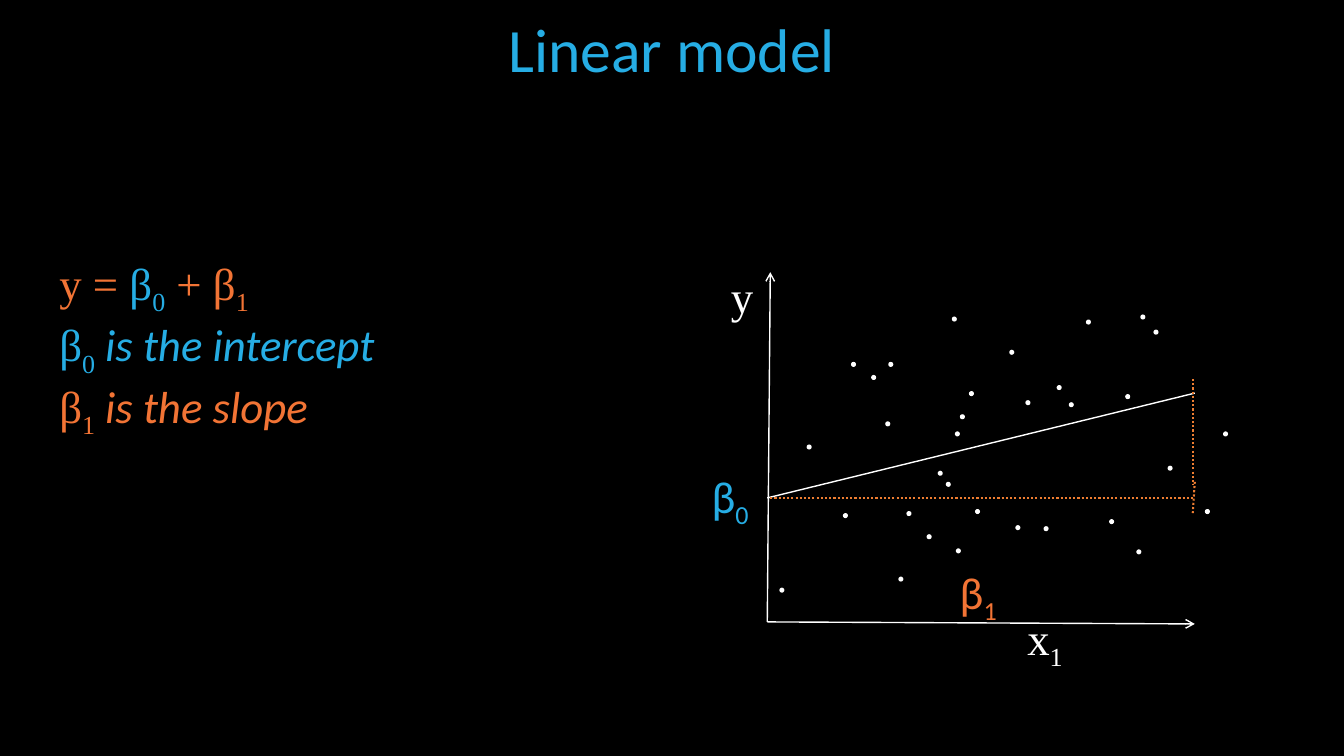
from lxml.etree import SubElement
from pptx import Presentation
from pptx.dml.color import RGBColor
from pptx.enum.dml import MSO_LINE
from pptx.enum.shapes import MSO_CONNECTOR, MSO_SHAPE
from pptx.enum.text import MSO_ANCHOR, MSO_AUTO_SIZE, PP_ALIGN
from pptx.oxml.ns import qn
from pptx.util import Inches, Pt

BLUE, ORANGE, WHITE, DOTTED_ORANGE = "26ADE4", "F27435", "FFFFFF", "ED7D31"
SERIF, SANS = "Times New Roman", "Calibri"
SUBSCRIPT = "-25000"


def paint(color_format, hex_color):
    color_format.rgb = RGBColor.from_string(hex_color)


def add_run(paragraph, text, font_name, color, size=32):
    """Add one run; a leading underscore marks a subscript."""
    run = paragraph.add_run()
    run.text = text.lstrip("_")
    run.font.name = font_name
    run.font.size = Pt(size)
    paint(run.font.color, color)
    if text.startswith("_"):
        run._r.get_or_add_rPr().set("baseline", SUBSCRIPT)
    return run


deck = Presentation()
deck.slide_width, deck.slide_height = Inches(13.33), Inches(7.5)
slide = deck.slides.add_slide(deck.slide_layouts[5])
slide.background.fill.solid()
paint(slide.background.fill.fore_color, "000000")

# Title
title = slide.shapes.title
title.left, title.top = 0, Inches(0.06)
title.width, title.height = deck.slide_width, Inches(0.84)
title.text_frame.vertical_anchor = MSO_ANCHOR.TOP
title.text_frame.auto_size = MSO_AUTO_SIZE.NONE
heading = title.text_frame.paragraphs[0]
heading.alignment = PP_ALIGN.CENTER
add_run(heading, "Linear model", SANS, BLUE, size=44)

# Equation and the meaning of its terms
equation = slide.shapes.add_textbox(Inches(0.49), Inches(2.49), Inches(4.5), Inches(1.48)).text_frame
equation.word_wrap = True
formula = equation.paragraphs[0]
for text, color in [("y = ", ORANGE), ("β", BLUE), ("_0", BLUE), (" + β", ORANGE), ("_1", ORANGE)]:
    add_run(formula, text, SERIF, color)
for index, meaning, color in [("_0", " is the intercept", BLUE), ("_1", " is the slope", ORANGE)]:
    term = equation.add_paragraph()
    add_run(term, "β", SERIF, color)
    add_run(term, index, SERIF, color)
    add_run(term, meaning, SANS, color).font.italic = True

# Axes, fitted line and slope triangle
origin_x, origin_y = 7.61, 6.17
intercept_y = 4.94
end_x, rise_x = 11.85, 11.83
plot_lines = [
    # start, end, colour, width, arrow, dotted
    ((origin_x, origin_y), (7.64, 2.7), WHITE, 1, True, False),
    ((origin_x, intercept_y), (end_x, 3.9), WHITE, 1, False, False),
    ((origin_x, origin_y), (end_x, 6.19), WHITE, 1, True, False),
    ((7.64, intercept_y), (rise_x, intercept_y), DOTTED_ORANGE, 1.5, False, True),
    ((rise_x, 3.76), (rise_x, 4.81), DOTTED_ORANGE, 1.5, False, True),
    ((end_x, 4.78), (rise_x, 5.09), DOTTED_ORANGE, 1.5, False, True),
]
for start, end, color, width, arrow, dotted in plot_lines:
    segment = slide.shapes.add_connector(
        MSO_CONNECTOR.STRAIGHT, *[Inches(length) for length in start + end])
    paint(segment.line.color, color)
    segment.line.width = Pt(width)
    if dotted:
        segment.line.dash_style = MSO_LINE.ROUND_DOT
    if arrow:
        SubElement(segment.line._get_or_add_ln(), qn("a:tailEnd"), type="arrow")
    SubElement(segment._element.spPr, qn("a:effectLst"))

# Axis and coefficient labels
for left, top, width, parts, font_name, color in [
    (7.15, 2.62, 0.43, ["y"], SERIF, WHITE),
    (6.96, 4.6, 0.59, ["β", "_0"], SANS, BLUE),
    (9.42, 5.55, 0.59, ["β", "_1"], SANS, ORANGE),
    (10.09, 6.01, 0.59, ["x", "_1"], SERIF, WHITE),
]:
    label = slide.shapes.add_textbox(Inches(left), Inches(top), Inches(width), Inches(0.64)).text_frame
    label.word_wrap = False
    label.auto_size = MSO_AUTO_SIZE.SHAPE_TO_FIT_TEXT
    for part in parts:
        add_run(label.paragraphs[0], part, font_name, color)

# Observations
observations = [
    (8.44, 3.59), (9.19, 5.3), (10.48, 3.82), (10.6, 3.99), (10.07, 5.21), (9.38, 4.78),
    (8.36, 5.09), (9.52, 4.11), (8, 4.41), (7.73, 5.83), (10.01, 3.47), (8.91, 5.72),
    (9.3, 4.67), (9.47, 4.28), (10.35, 5.22), (8.64, 3.72), (8.81, 3.59), (10.17, 3.97),
    (8.99, 5.07), (9.61, 3.88), (9.44, 3.14), (8.78, 4.18), (9.67, 5.05), (9.48, 5.44),
    (11.16, 3.91), (10.77, 3.17), (11, 5.15), (11.27, 5.45), (11.31, 3.12), (11.44, 3.27),
    (11.58, 4.62), (11.95, 5.05), (12.13, 4.28),
]
dot_size = Inches(0.05)
for left, top in observations:
    dot = slide.shapes.add_shape(MSO_SHAPE.OVAL, Inches(left), Inches(top), dot_size, dot_size)
    dot.shadow.inherit = False
    dot.fill.solid()
    paint(dot.fill.fore_color, WHITE)
    dot.line.fill.background()

deck.save("out.pptx")
